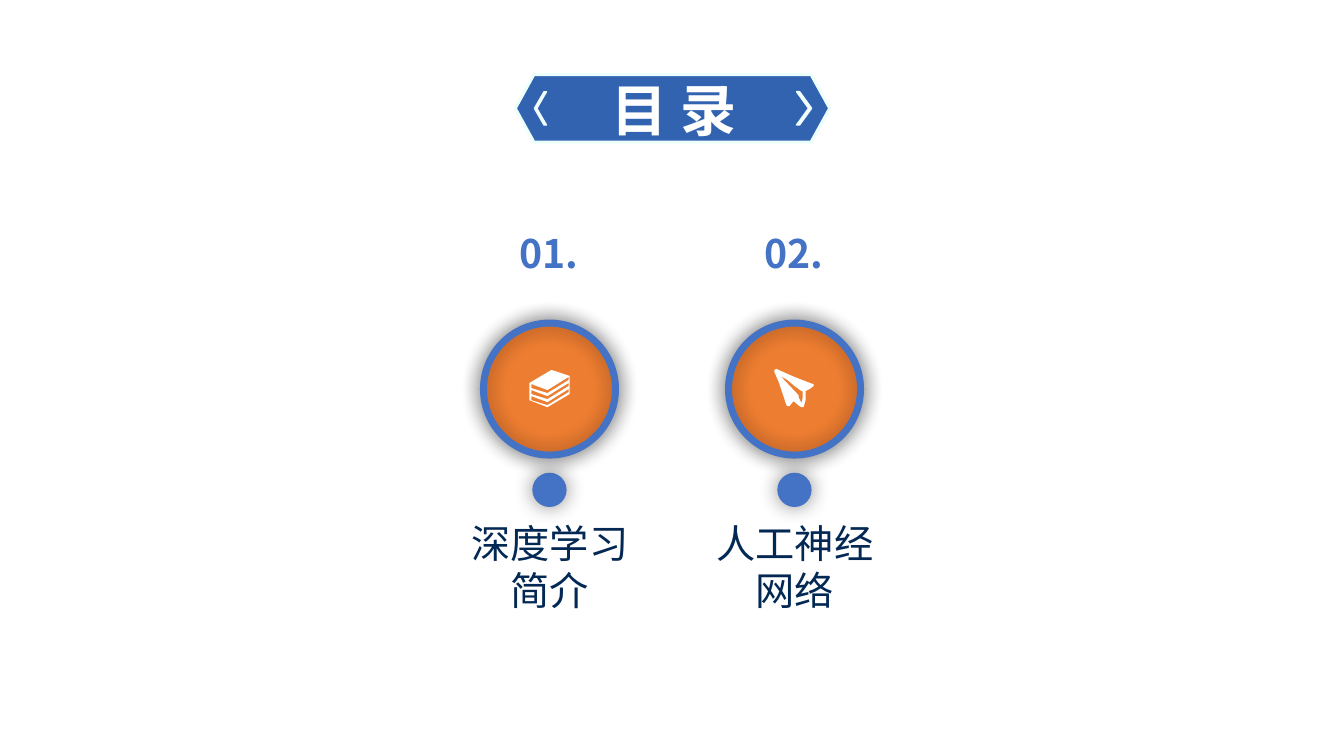
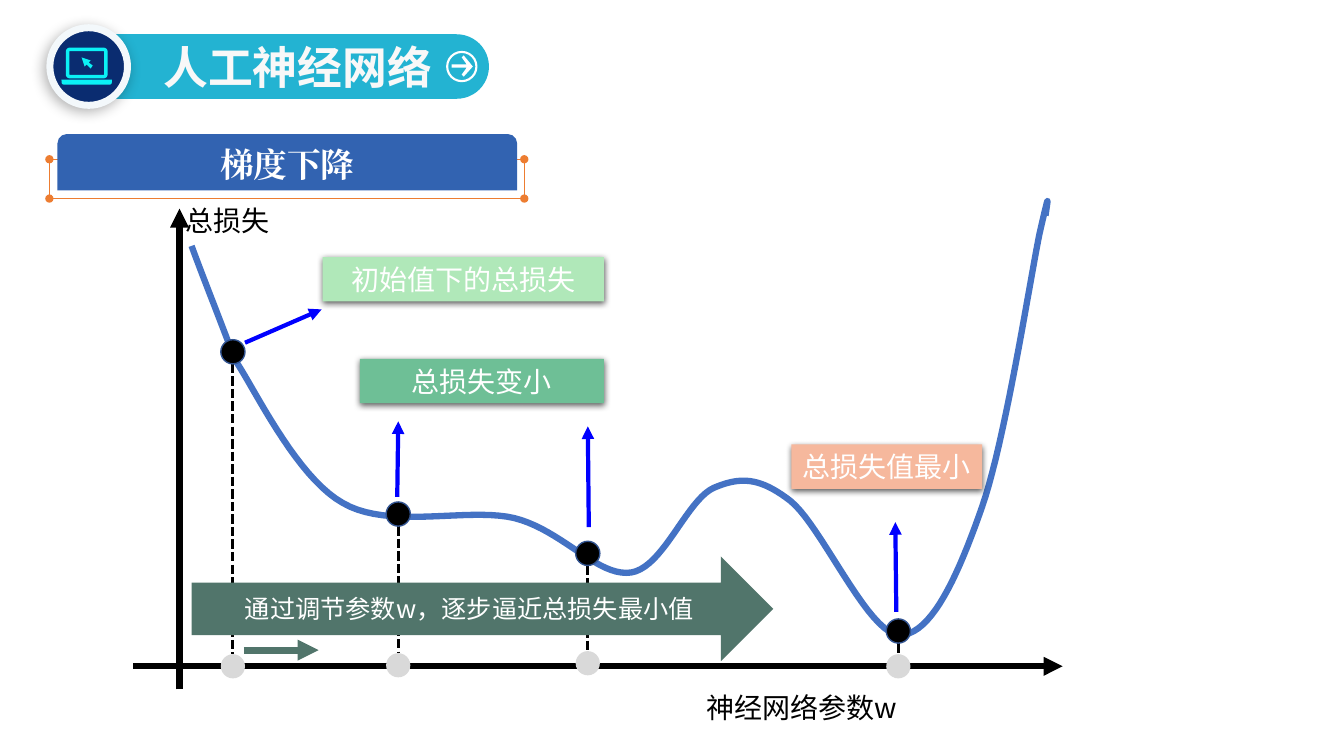
from lxml import etree
from pptx import Presentation
from pptx.dml.color import RGBColor
from pptx.enum.dml import MSO_LINE
from pptx.enum.shapes import MSO_CONNECTOR, MSO_SHAPE as SHAPE
from pptx.enum.text import MSO_ANCHOR, PP_ALIGN
from pptx.oxml.ns import qn
from pptx.util import Inches, Pt

SANS = "Noto Sans CJK SC"
SERIF = "Times New Roman"

WHITE = RGBColor(0xFF, 0xFF, 0xFF)
BLACK = RGBColor(0x00, 0x00, 0x00)
BLUE = RGBColor(0x44, 0x72, 0xC4)
BANNER_BLUE = RGBColor(0x32, 0x63, 0xB1)
NAVY = RGBColor(0x03, 0x28, 0x54)
ORANGE = RGBColor(0xED, 0x7D, 0x31)
MINT = RGBColor(0xED, 0xFF, 0xFD)
TEAL = RGBColor(0x23, 0xB3, 0xD2)
TITLE_WHITE = RGBColor(0xF8, 0xF8, 0xF8)
BADGE_NAVY = RGBColor(0x0A, 0x2C, 0x70)
BADGE_RIM = RGBColor(0xF3, 0xF8, 0xFB)
CYAN = RGBColor(0x0B, 0xF1, 0xF5)
MOSS = RGBColor(0x51, 0x75, 0x6B)
ARROW_BLUE = RGBColor(0x00, 0x00, 0xFF)
GREY = RGBColor(0xD9, 0xD9, 0xD9)
DOT_RIM = RGBColor(0x32, 0x54, 0x91)
LIGHT_GREEN = RGBColor(0xB0, 0xE8, 0xB9)
GREEN = RGBColor(0x6E, 0xBF, 0x96)
PEACH = RGBColor(0xF6, 0xB8, 0x9D)

# Shadows: opacity in percent, blur and distance in points, direction in degrees
GLOW = (45, 15, 0, 0)
BADGE_SHADOW = (30, 10, 3, 135)
LABEL_SHADOW = (63, 4.5, 1.5, 90)

PAGE_GAPS = [
    [(5.27, 3.81 + drop), (5.43, 3.87 + drop), (5.64, 3.74 + drop),
     (5.64, 3.77 + drop), (5.43, 3.9 + drop), (5.27, 3.85 + drop)]
    for drop in (0, 0.06, 0.12)
]
BOOKS = [[(5.25, 3.8), (5.47, 3.67), (5.65, 3.73), (5.65, 3.91),
          (5.43, 4.04), (5.25, 3.97)]] + PAGE_GAPS
PAPER_PLANE = [
    [(8.06, 3.81), (7.88, 3.74), (7.7, 3.66), (7.68, 3.67), (7.68, 3.69),
     (7.72, 3.78), (7.8, 4.02), (7.81, 4.03), (7.83, 4.03), (7.87, 3.98),
     (7.93, 4.03), (7.95, 4.04), (7.97, 4.04), (7.99, 3.97), (7.99, 3.88),
     (8.03, 3.86), (8.07, 3.83), (8.07, 3.81)],
    [(7.96, 3.95), (7.95, 4), (7.92, 3.94), (7.92, 3.92), (7.74, 3.73),
     (7.81, 3.77), (7.88, 3.83), (7.95, 3.88), (7.96, 3.88)],
]
CHAPTERS = [
    ("01.", ["深度学习", "简介"], BOOKS),
    ("02.", ["人工神经", "网络"], PAPER_PLANE),
]

HEADER_ARROW = [[(4.6, 0.76), (4.58, 0.74), (4.63, 0.67), (4.48, 0.67), (4.48, 0.64),
                 (4.63, 0.64), (4.58, 0.57), (4.6, 0.55), (4.69, 0.66)]]
CURSOR = [[(0.81, 0.57), (0.9, 0.6), (0.88, 0.62), (0.92, 0.65), (0.9, 0.68),
           (0.86, 0.64), (0.84, 0.66)]]

LOSS_START = (1.9, 2.44)
# Each cubic segment: two control points, then the end point
LOSS_CURVE = [
    ((2.04, 2.82), (2.19, 3.19), (2.33, 3.57)),
    ((2.5, 3.81), (2.93, 4.73), (3.4, 4.99)),
    ((3.86, 5.26), (4.63, 5.03), (5.1, 5.14)),
    ((5.58, 5.26), (5.93, 5.73), (6.26, 5.68)),
    ((6.58, 5.63), (6.81, 4.96), (7.08, 4.84)),
    ((7.34, 4.73), (7.53, 4.73), (7.84, 4.97)),
    ((8.15, 5.22), (8.61, 6.29), (8.92, 6.3)),
    ((9.24, 6.31), (9.51, 5.69), (9.74, 5.03)),
    ((9.97, 4.37), (10.21, 2.81), (10.31, 2.32)),
    ((10.42, 1.84), (10.39, 1.99), (10.37, 2.14)),
]
# Centre x, height on the curve, height on the axis, callout arrow start and end
STEPS = [
    (2.31, 3.49, 6.61, (2.43, 3.4), (3.19, 3.07)),
    (3.95, 5.1, 6.6, (3.94, 4.93), (3.95, 4.18)),
    (5.83, 5.49, 6.58, (5.84, 5.23), (5.83, 4.23)),
    (8.91, 6.26, 6.61, (8.89, 6.07), (8.88, 5.18)),
]
LOSS_LABELS = [
    ("初始值下的总损失", (3.2, 2.55, 2.79, 0.44), LIGHT_GREEN),
    ("总损失值最小", (7.85, 4.41, 1.89, 0.44), PEACH),
    ("总损失变小", (3.57, 3.56, 2.42, 0.44), GREEN),
]
AXES = [((1.32, 6.61), (10.54, 6.61)), ((1.78, 6.84), (1.78, 2.07))]
AXIS_LABELS = [("总损失", (1.73, 1.97, 1.06, 0.44)),
               ("神经网络参数w", (5.11, 6.8, 5.68, 0.44))]


def write(shape, lines, size, color, bold=False, font_name=SANS):
    frame = shape.text_frame
    frame.word_wrap = True
    frame.vertical_anchor = MSO_ANCHOR.MIDDLE
    frame.margin_left = frame.margin_right = frame.margin_top = frame.margin_bottom = 0
    frame.text = "\n".join(lines)
    for paragraph in frame.paragraphs:
        paragraph.alignment = PP_ALIGN.CENTER
        font = paragraph.font
        font.name, font.size, font.bold = font_name, Pt(size), bold
        font.color.rgb = color
        default_run = paragraph._p.pPr.find(qn("a:defRPr"))
        etree.SubElement(default_run, qn("a:ea"), typeface=font_name)


def add_text(slide, box, lines, size, color, bold=False, font_name=SANS):
    shape = slide.shapes.add_textbox(*map(Inches, box))
    write(shape, lines, size, color, bold, font_name)


def cast_shadow(shape, opacity, blur, distance, direction):
    effects = shape._element.spPr.find(qn("a:effectLst"))
    shadow = etree.SubElement(
        effects, qn("a:outerShdw"), blurRad=str(Pt(blur)), dist=str(Pt(distance)),
        dir=str(direction * 60000), algn="ctr", rotWithShape="0")
    color = etree.SubElement(shadow, qn("a:srgbClr"), val=str(BLACK))
    etree.SubElement(color, qn("a:alpha"), val=str(opacity * 1000))


def style(shape, fill=None, line=None, shadow=None):
    """Apply a fill colour, a (colour, width) line and a shadow; None means none."""
    shape.shadow.inherit = False
    if fill is None:
        shape.fill.background()
    else:
        shape.fill.solid()
        shape.fill.fore_color.rgb = fill
    if line is None:
        shape.line.fill.background()
    else:
        shape.line.color.rgb, shape.line.width = line[0], Pt(line[1])
    if shadow:
        cast_shadow(shape, *shadow)
    return shape


def add_shape(slide, kind, box, fill=None, line=None, shadow=None):
    return style(slide.shapes.add_shape(kind, *map(Inches, box)), fill, line, shadow)


def add_disc(slide, center_x, center_y, diameter, *look):
    box = (center_x - diameter / 2, center_y - diameter / 2, diameter, diameter)
    return add_shape(slide, SHAPE.OVAL, box, *look)


def add_outline(slide, contours, fill=None, line=None, close=True):
    contours = [[(Inches(x), Inches(y)) for x, y in contour] for contour in contours]
    builder = slide.shapes.build_freeform(*contours[0][0], scale=1.0)
    for index, (start, *others) in enumerate(contours):
        if index:
            builder.move_to(*start)
        builder.add_line_segments(others, close=close)
    return style(builder.convert_to_shape(), fill, line)


def add_line(slide, start, end, color, width, head=None, tail=None, dash=None):
    connector = slide.shapes.add_connector(
        MSO_CONNECTOR.STRAIGHT, *map(Inches, (*start, *end)))
    connector.line.color.rgb, connector.line.width = color, Pt(width)
    if dash:
        connector.line.dash_style = dash
    line = connector.line._get_or_add_ln()
    for tag, kind in (("a:headEnd", head), ("a:tailEnd", tail)):
        if kind:
            etree.SubElement(line, qn(tag), type=kind)
    etree.SubElement(connector._element.spPr, qn("a:effectLst"))


def sample_curve(start, segments, count=20):
    """Return points along a chain of cubic Bézier segments."""
    points = [start]
    for first, second, end in segments:
        for step in range(1, count + 1):
            t = step / count
            u = 1 - t
            points.append(tuple(
                u**3 * a + 3 * u * u * t * b + 3 * u * t * t * c + t**3 * d
                for a, b, c, d in zip(start, first, second, end)))
        start = end
    return points


def build_contents(slide):
    for index, (number, name, icon) in enumerate(CHAPTERS):
        center = 5.45 + 2.43 * index
        add_disc(slide, center, 3.86, 1.35, ORANGE, None, GLOW)
        add_disc(slide, center, 4.86, 0.34, BLUE, None, GLOW)
        add_disc(slide, center, 3.86, 1.31, None, (BLUE, 5), GLOW)
        add_outline(slide, icon, WHITE)
        add_text(slide, (center - 0.59, 2.22, 1.17, 0.57), [number], 28, BLUE, True)
        add_text(slide, (center - 0.78, 5.15, 1.57, 0.94), name, 28, NAVY)

    banner = add_shape(slide, SHAPE.HEXAGON, (5.11, 0.74, 3.12, 0.67),
                       BANNER_BLUE, (MINT, 2.25))
    banner.adjustments[0] = 0.276
    for left, width, rotation in ((5.3, 0.12, 180), (7.9, 0.15, 0)):
        chevron = add_shape(slide, SHAPE.CHEVRON, (left, 0.91, width, 0.33),
                            WHITE, (MINT, 1))
        chevron.adjustments[0] = 0.794
        chevron.rotation = rotation
    add_text(slide, (5.64, 0.7, 2.09, 0.77), ["目 录"], 40, WHITE, True)


def add_header(slide, title):
    pill = add_shape(slide, SHAPE.ROUNDED_RECTANGLE, (0.79, 0.34, 4.06, 0.64), TEAL)
    pill.adjustments[0] = 0.5
    add_disc(slide, 4.58, 0.66, 0.29, None, (WHITE, 1.5))
    add_outline(slide, HEADER_ARROW, WHITE)
    add_text(slide, (1.51, 0.34, 2.89, 0.64), [title], 32, TITLE_WHITE, True)

    add_disc(slide, 0.88, 0.66, 0.77, BADGE_NAVY, (BADGE_RIM, 5), BADGE_SHADOW)
    screen = add_shape(slide, SHAPE.ROUNDED_RECTANGLE, (0.67, 0.49, 0.38, 0.27),
                       None, (CYAN, 2.5))
    screen.adjustments[0] = 0.08
    base = add_shape(slide, SHAPE.ROUND_2_SAME_RECTANGLE, (0.61, 0.79, 0.5, 0.05), CYAN)
    base.adjustments[0] = 0.5
    base.rotation = 180
    add_outline(slide, CURSOR, CYAN)


def add_subtitle(slide, subtitle):
    left, right, top, bottom = 0.49, 5.2, 1.58, 1.97
    for x in (left, right):
        add_line(slide, (x, top), (x, bottom), ORANGE, 0.5)
    for y in (top, bottom):
        add_line(slide, (left, y), (right, y), ORANGE, 0.5, "oval", "oval")
    bar = add_shape(slide, SHAPE.ROUND_2_SAME_RECTANGLE, (0.57, 1.33, 4.56, 0.56),
                    BANNER_BLUE)
    write(bar, [subtitle], 24, WHITE, True, SERIF)


def build_gradient_descent(slide):
    add_header(slide, "人工神经网络")
    add_subtitle(slide, "梯度下降")
    add_outline(slide, [sample_curve(LOSS_START, LOSS_CURVE)], None, (BLUE, 4.5), False)

    for x, curve_y, axis_y, *_ in STEPS:
        add_line(slide, (x, curve_y + 0.12), (x, axis_y - 0.12), BLACK, 2.25,
                 dash=MSO_LINE.SQUARE_DOT)
    add_line(slide, (2.42, 6.45), (3.16, 6.45), MOSS, 5, tail="triangle")
    for start, end in AXES:
        add_line(slide, start, end, BLACK, 4.5, tail="triangle")
    for text, box in AXIS_LABELS:
        add_text(slide, box, [text], 20, BLACK)
    for text, box, color in LOSS_LABELS:
        label = add_shape(slide, SHAPE.RECTANGLE, box, color, None, LABEL_SHADOW)
        write(label, [text], 20, WHITE)

    for x, _, axis_y, *_ in STEPS:
        add_disc(slide, x, axis_y, 0.24, GREY)
    progress = add_shape(slide, SHAPE.RIGHT_ARROW, (1.9, 5.52, 5.77, 1.04), MOSS)
    write(progress, ["通过调节参数w，逐步逼近总损失最小值"], 18, WHITE)
    for x, curve_y, _, start, end in STEPS:
        add_line(slide, start, end, ARROW_BLUE, 3, tail="triangle")
        add_disc(slide, x, curve_y, 0.24, BLACK, (DOT_RIM, 1))


def main():
    presentation = Presentation()
    presentation.slide_width, presentation.slide_height = Inches(13.33), Inches(7.5)
    for build in (build_contents, build_gradient_descent):
        build(presentation.slides.add_slide(presentation.slide_layouts[6]))
    presentation.save("out.pptx")


if __name__ == "__main__":
    main()
